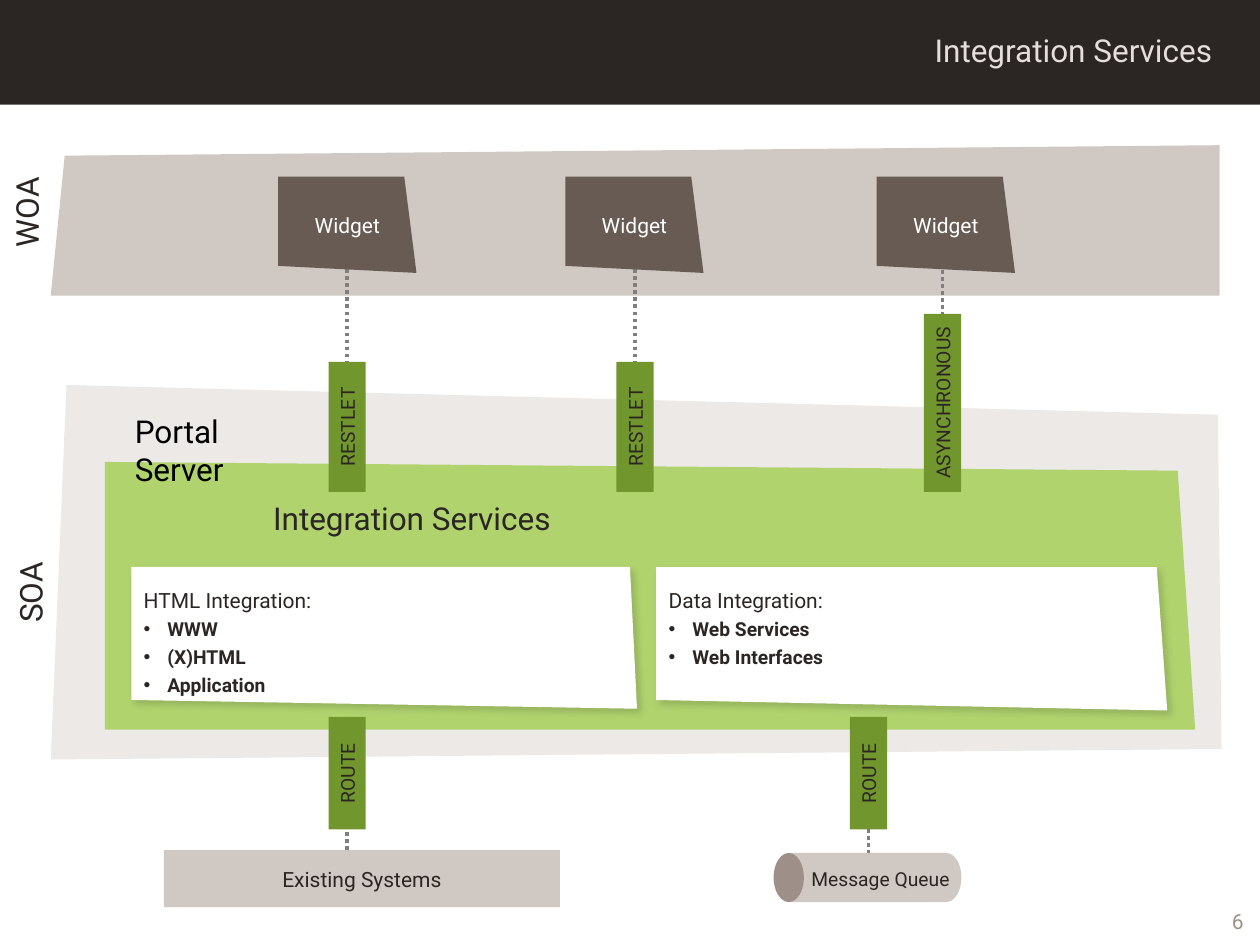
from lxml import etree
from pptx import Presentation
from pptx.dml.color import RGBColor
from pptx.enum.dml import MSO_LINE
from pptx.enum.shapes import MSO_CONNECTOR, MSO_SHAPE
from pptx.enum.text import MSO_ANCHOR, PP_ALIGN
from pptx.oxml.ns import qn
from pptx.util import Pt

LEFT, CENTER, RIGHT = PP_ALIGN.LEFT, PP_ALIGN.CENTER, PP_ALIGN.RIGHT
TOP, MIDDLE = MSO_ANCHOR.TOP, MSO_ANCHOR.MIDDLE
RECT, OVAL = MSO_SHAPE.RECTANGLE, MSO_SHAPE.OVAL
STRAIGHT = MSO_CONNECTOR.STRAIGHT
DOTTED = MSO_LINE.ROUND_DOT
FONT = "Roboto"
DARK, WHITE, STONE, TAUPE = "2B2623", "FFFFFF", "CFC8C3", "9E9088"
BAR_WIDTH = 21.3
WIDGET_TOP = 100.8


def color(hex_value):
    """Turn a hex string into a colour."""
    return RGBColor.from_string(hex_value)


def paint(shape, fill):
    """Give a shape a flat fill without line or shadow."""
    shape.fill.solid()
    shape.fill.fore_color.rgb = color(fill)
    shape.line.fill.background()
    shape.shadow.inherit = False
    return shape


def add_block(shapes, kind, box, fill):
    """Add a flat preset shape."""
    return paint(shapes.add_shape(kind, *map(Pt, box)), fill)


def add_panel(shapes, corners, fill):
    """Add a flat four-sided panel."""
    builder = shapes.build_freeform(*corners[0], scale=Pt(1))
    builder.add_line_segments(corners[1:], close=True)
    return paint(builder.convert_to_shape(), fill)


def cast_shadow(shape):
    """Give a panel a soft shadow to the lower right."""
    effects = shape._element.spPr.find(qn("a:effectLst"))
    shadow = etree.SubElement(effects, qn("a:outerShdw"), blurRad=str(Pt(4)),
                              dist=str(Pt(3)), dir="2700000", algn="tl", rotWithShape="0")
    black = etree.SubElement(shadow, qn("a:srgbClr"), val="000000")
    etree.SubElement(black, qn("a:alpha"), val="14000")


def set_frame(shape, insets, anchor=TOP, wrap=True, vertical=False):
    """Set the margins, anchor, wrapping and direction of a text frame."""
    frame = shape.text_frame
    frame.margin_left, frame.margin_top = Pt(insets[0]), Pt(insets[1])
    frame.margin_right, frame.margin_bottom = Pt(insets[0]), Pt(insets[1])
    frame.vertical_anchor = anchor
    frame.word_wrap = wrap
    if vertical:
        frame._txBody.bodyPr.set("vert", "vert270")
    return frame


def write(paragraph, words, size, ink, align=LEFT, bold=False):
    """Write one run into a paragraph."""
    paragraph.alignment = align
    run = paragraph.add_run()
    run.text = words
    run.font.name = FONT
    run.font.size = Pt(size)
    run.font.bold = bold
    run.font.color.rgb = color(ink)


def add_label(shapes, box, words, size, ink=DARK, align=LEFT, insets=(7.2, 3.6), **layout):
    """Add a text box with one paragraph."""
    frame = set_frame(shapes.add_textbox(*map(Pt, box)), insets, **layout)
    write(frame.paragraphs[0], words, size, ink, align)
    return frame


def add_caption(shape, words, size, ink=DARK, vertical=False):
    """Centre a caption in a shape."""
    frame = set_frame(shape, (0, 0), MIDDLE, vertical=vertical)
    write(frame.paragraphs[0], words, size, ink, CENTER)


def add_link(shapes, x, start, end):
    """Add a dotted vertical line."""
    link = shapes.add_connector(STRAIGHT, Pt(x), Pt(start), Pt(x), Pt(end))
    link.line.color.rgb = color("7F7F7F")
    link.line.width = Pt(2)
    link.line.dash_style = DOTTED
    etree.SubElement(link._element.spPr, qn("a:effectLst"))


def add_bar(shapes, center, top, bottom, words):
    """Add a green channel bar with upward text."""
    box = (center - BAR_WIDTH / 2, top, BAR_WIDTH, bottom - top)
    add_caption(add_block(shapes, RECT, box, "71962D"), words, 11, vertical=True)


def add_widget(shapes, left):
    """Add a slanted widget tile."""
    corners = [(left, WIDGET_TOP), (left + 72.2, WIDGET_TOP),
               (left + 79.3, WIDGET_TOP + 55.4), (left, WIDGET_TOP + 51)]
    add_caption(add_panel(shapes, corners, "675B53"), "Widget", 12, WHITE)


def add_service(shapes, corners, heading, items):
    """Add a white service panel with a heading and bullets."""
    panel = add_panel(shapes, corners, WHITE)
    cast_shadow(panel)
    frame = set_frame(panel, (7.2, 9))
    frame.paragraphs[0].line_spacing = 1.2
    write(frame.paragraphs[0], heading, 12, DARK)
    for item in items:
        paragraph = frame.add_paragraph()
        paragraph.line_spacing = 1.2
        properties = paragraph._p.get_or_add_pPr()
        properties.set("marL", str(Pt(13.5)))
        properties.set("indent", str(Pt(-13.5)))
        etree.SubElement(properties, qn("a:buFont"), typeface="Arial")
        etree.SubElement(properties, qn("a:buChar"), char="•")
        write(paragraph, item, 11, DARK, bold=True)


def add_queue(shapes):
    """Add the message queue as a lying cylinder."""
    parts = shapes.add_group_shape().shapes
    add_block(parts, RECT, (450.7, 487.4, 90.0, 28.1), STONE)
    for left, fill in ((442.1, TAUPE), (532.1, STONE)):
        add_block(parts, OVAL, (left, 487.4, 17.3, 28.1), fill)
    frame = add_label(parts, (456.5, 489.6, 95, 23), "Message Queue", 11, wrap=False)
    frame.paragraphs[0].line_spacing = 1.2


def main():
    """Build the integration services slide."""
    deck = Presentation()
    deck.slide_width, deck.slide_height = Pt(720), Pt(540)
    shapes = deck.slides.add_slide(deck.slide_layouts[6]).shapes

    add_block(shapes, RECT, (0, 0, 720, 59.8), DARK)
    add_label(shapes, (206.6, 14.4, 493.2, 28.8), "Integration Services", 18, "E5DEDC", RIGHT)
    add_label(shapes, (586, 516.2, 131.8, 20.2), "6", 12, TAUPE, RIGHT, anchor=MIDDLE)

    layers = [
        ("ECE9E7", [(37.7, 220.5), (695.9, 237), (698.3, 427.5), (29, 434.2)]),
        (STONE, [(37.2, 88.6), (696.6, 82.8), (696.6, 169.2), (28.6, 169.2)]),
        ("B0D36E", [(60.5, 264.2), (673, 268.6), (683, 417.4), (60.5, 417.4)]),
    ]
    for fill, corners in layers:
        add_panel(shapes, corners, fill)

    add_label(shapes, (2.9, 321.1, 36, 41.8), "SOA", 18, wrap=False, vertical=True)
    add_label(shapes, (0.7, 101.5, 36, 46.8), "WOA", 18, wrap=False, vertical=True)
    add_service(shapes, [(75, 324), (360.2, 324), (364.3, 404.6), (75, 400.4)],
                "HTML Integration:", ["WWW", "(X)HTML", "Application"])
    add_service(shapes, [(375.4, 324), (660.6, 324), (666.6, 406.3), (375.4, 400.4)],
                "Data Integration:", ["Web Services", "Web Interfaces"])
    add_label(shapes, (149, 281.5, 355.7, 28.8), "Integration Services", 18)

    channels = [
        ("RESTLET", 198.4, 206.8, 281.1, (220.3, 152)),
        ("RESTLET", 362.9, 206.8, 281.1, (220.3, 152)),
        ("ASYNCHRONOUS", 538.6, 179.3, 281.1, (188.6, 148.3)),
        ("ROUTE", 198.4, 409.7, 473.9, (501.8, 461.5)),
        ("ROUTE", 496.3, 409.7, 473.9, (504, 463.7)),
    ]
    for _, center, _, _, link in channels:
        add_link(shapes, center, *link)
    add_label(shapes, (67, 230.4, 123.1, 32.4), "Portal Server", 18, "000000", insets=(10, 5))
    for words, center, top, bottom, _ in channels:
        add_bar(shapes, center, top, bottom, words)

    for left in (158.6, 323, 501):
        add_widget(shapes, left)
    systems = add_block(shapes, RECT, (93.7, 485.8, 226.3, 32.5), STONE)
    add_caption(systems, "Existing Systems", 12)
    add_queue(shapes)
    deck.save("out.pptx")


if __name__ == "__main__":
    main()
